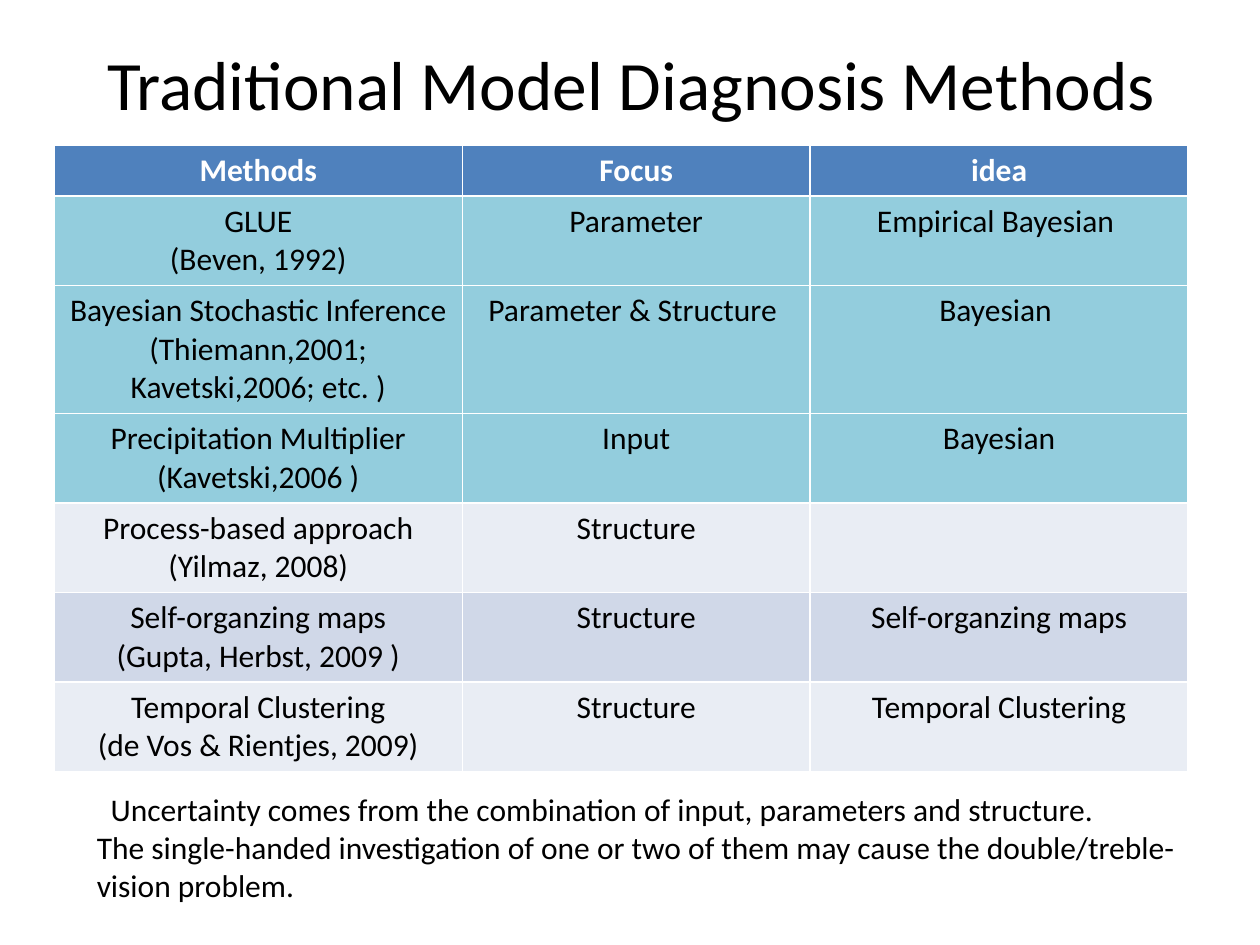
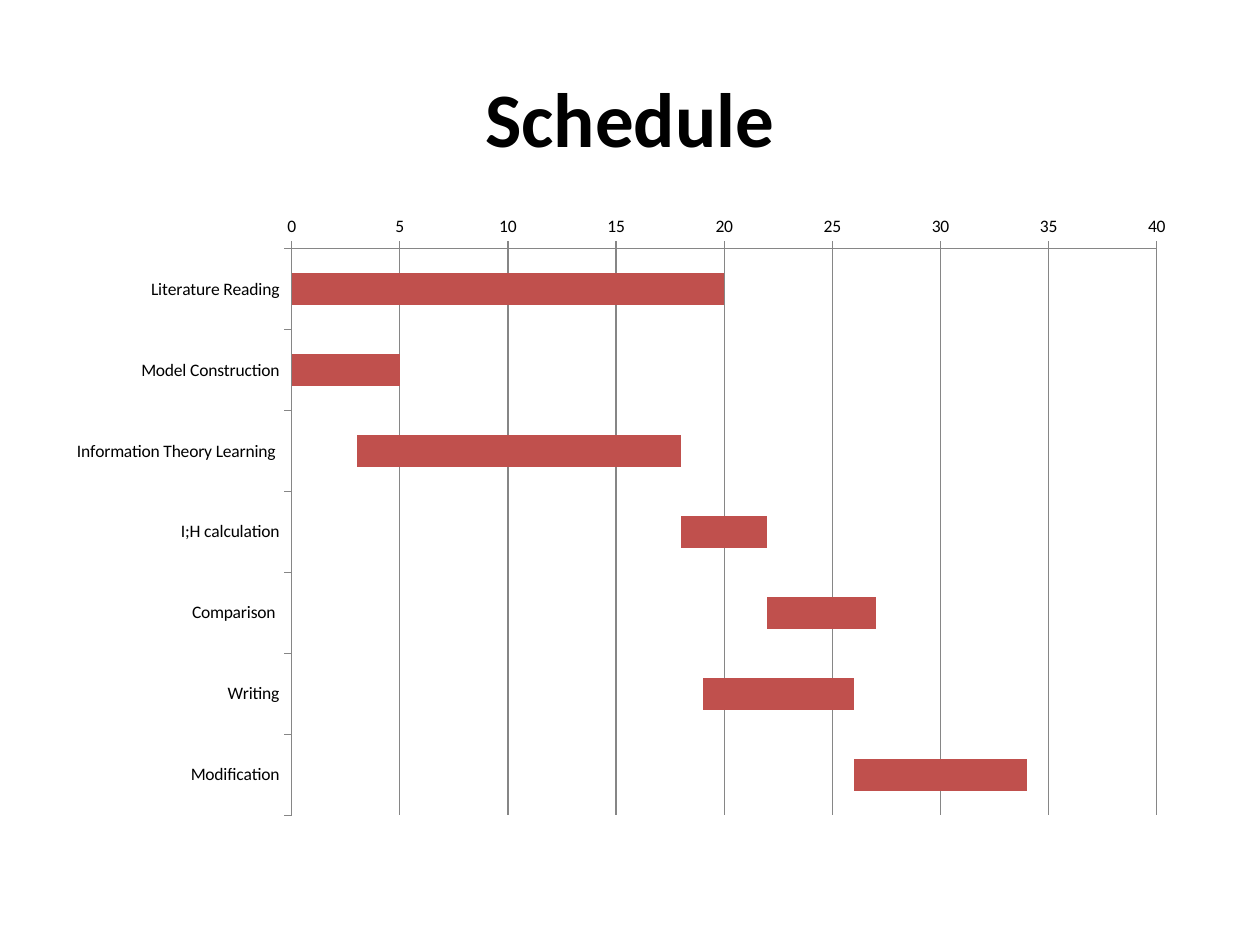
"""Build two slides: a table of diagnosis methods and a project schedule."""
from pptx import Presentation
from pptx.chart.data import CategoryChartData
from pptx.dml.color import RGBColor
from pptx.enum.chart import XL_CHART_TYPE, XL_TICK_MARK
from pptx.enum.text import MSO_ANCHOR, PP_ALIGN
from pptx.util import Inches, Pt

FONT = "Calibri"
BLACK = RGBColor(0x00, 0x00, 0x00)
WHITE = RGBColor(0xFF, 0xFF, 0xFF)
HEADER_BLUE = RGBColor(0x4F, 0x81, 0xBD)
BAYESIAN_TEAL = RGBColor(0x93, 0xCD, 0xDD)
BAND_LIGHT = RGBColor(0xE9, 0xED, 0xF4)
BAND_DARK = RGBColor(0xD0, 0xD8, 0xE8)
BAR_RED = RGBColor(0xC0, 0x50, 0x4D)
AXIS_GREY = RGBColor(0x86, 0x86, 0x86)

METHODS_TITLE = "Traditional Model Diagnosis Methods"
HEADINGS = ("Methods", "Focus", "idea")
METHODS = [
    (["GLUE", "(Beven, 1992)"], "Parameter", "Empirical Bayesian ", 2, BAYESIAN_TEAL),
    (["Bayesian Stochastic Inference", "(Thiemann,2001; Kavetski,2006; etc. )"],
     "Parameter & Structure ", "Bayesian ", 3, BAYESIAN_TEAL),
    (["Precipitation Multiplier (Kavetski,2006 )"], "Input", "Bayesian", 2, BAYESIAN_TEAL),
    (["Process-based approach", "(Yilmaz, 2008)"], "Structure", "", 2, BAND_LIGHT),
    (["Self-organzing maps", "(Gupta, Herbst, 2009 )"], "Structure",
     "Self-organzing maps", 2, BAND_DARK),
    (["Temporal Clustering", "(de Vos & Rientjes, 2009)"], "Structure",
     "Temporal Clustering", 2, BAND_LIGHT),
]
COLUMN_WIDTHS = (3.24, 2.76, 3)
CONCLUSION = [
    "Uncertainty comes from the combination of input, parameters and structure.",
    "The single-handed investigation of one or two of them may cause the "
    "double/treble-vision problem.",
]

SCHEDULE_TITLE = "Schedule"
TASKS = [
    ("Literature Reading", 0, 20),
    ("Model Construction", 0, 5),
    ("Information Theory Learning ", 3, 15),
    ("I;H calculation", 18, 4),
    ("Comparison ", 22, 5),
    ("Writing", 19, 7),
    ("Modification", 26, 8),
]


def write(frame, lines, size=18, color=BLACK, bold=False, align=PP_ALIGN.CENTER):
    """Fill a text frame with one formatted paragraph per line."""
    frame.word_wrap = True
    for index, line in enumerate(lines):
        paragraph = frame.add_paragraph() if index else frame.paragraphs[0]
        paragraph.alignment = align
        run = paragraph.add_run()
        run.text = line
        run.font.name, run.font.size = FONT, Pt(size)
        run.font.bold, run.font.color.rgb = bold, color


def add_titled_slide(deck, title, left, top, **text_format):
    """Add a slide whose title placeholder is moved and formatted."""
    slide = deck.slides.add_slide(deck.slide_layouts[5])
    heading = slide.shapes.title
    heading.left, heading.top = Inches(left), Inches(top)
    heading.width, heading.height = Inches(9), Inches(1.25)
    heading.text_frame.vertical_anchor = MSO_ANCHOR.MIDDLE
    write(heading.text_frame, [title], **text_format)
    return slide


def add_methods_table(slide):
    """Add the methods table, with row heights set by their line counts."""
    rows = [([HEADINGS[0]], *HEADINGS[1:], 1, HEADER_BLUE)] + METHODS
    heights = [0.1 + 0.3 * row[3] for row in rows]
    table = slide.shapes.add_table(
        len(rows), len(HEADINGS), Inches(0.43), Inches(1.15),
        Inches(sum(COLUMN_WIDTHS)), Inches(sum(heights))).table
    for column, width in zip(table.columns, COLUMN_WIDTHS):
        column.width = Inches(width)
    for index, (method, focus, idea, _, fill) in enumerate(rows):
        table.rows[index].height = Inches(heights[index])
        header = index == 0
        for cell, lines in zip(table.rows[index].cells, (method, [focus], [idea])):
            cell.fill.solid()
            cell.fill.fore_color.rgb = fill
            if lines[0]:
                write(cell.text_frame, lines, bold=header,
                      color=WHITE if header else BLACK)


def add_conclusion(slide):
    """Add the closing remark under the table."""
    conclusion = slide.shapes.add_textbox(
        Inches(0.67), Inches(6.22), Inches(8.9), Inches(1.01)).text_frame
    write(conclusion, CONCLUSION, align=PP_ALIGN.LEFT)
    opening = conclusion.paragraphs[0]._p.get_or_add_pPr()
    opening.set("indent", str(Inches(0.11)))


def add_schedule_chart(slide):
    """Add the schedule as stacked bars standing on unfilled starts."""
    names, starts, durations = zip(*TASKS)
    schedule = CategoryChartData()
    schedule.categories = names
    schedule.add_series("Series 1", starts)
    schedule.add_series("Series 2", durations)
    chart = slide.shapes.add_chart(
        XL_CHART_TYPE.BAR_STACKED, Inches(0.43), Inches(1.62),
        Inches(9), Inches(4.95), schedule).chart
    chart.has_legend = chart.has_title = False
    chart.font.name, chart.font.size = FONT, Pt(10)
    chart.font.color.rgb = BLACK

    plot = chart.plots[0]
    plot.gap_width, plot.overlap = 150, 100
    plot.vary_by_categories = False
    start_bars, duration_bars = plot.series
    start_bars.format.fill.background()
    duration_bars.format.fill.solid()
    duration_bars.format.fill.fore_color.rgb = BAR_RED

    tasks, weeks = chart.category_axis, chart.value_axis
    tasks.reverse_order = True
    weeks.minimum_scale, weeks.maximum_scale, weeks.major_unit = 0, 40, 5
    weeks.has_major_gridlines = True
    for axis in (tasks, weeks):
        axis.major_tick_mark = XL_TICK_MARK.OUTSIDE
        axis.minor_tick_mark = XL_TICK_MARK.NONE
    for ruled in (tasks, weeks, weeks.major_gridlines):
        ruled.format.line.color.rgb = AXIS_GREY
        ruled.format.line.width = Pt(0.75)


def main():
    """Build and save the deck."""
    deck = Presentation()
    deck.slide_width, deck.slide_height = Inches(10), Inches(7.5)
    methods = add_titled_slide(deck, METHODS_TITLE, 0.51, 0.03, size=39.6)
    add_methods_table(methods)
    add_conclusion(methods)
    schedule = add_titled_slide(deck, SCHEDULE_TITLE, 0.5, 0.3, size=44, bold=True)
    add_schedule_chart(schedule)
    deck.save("out.pptx")


if __name__ == "__main__":
    main()
